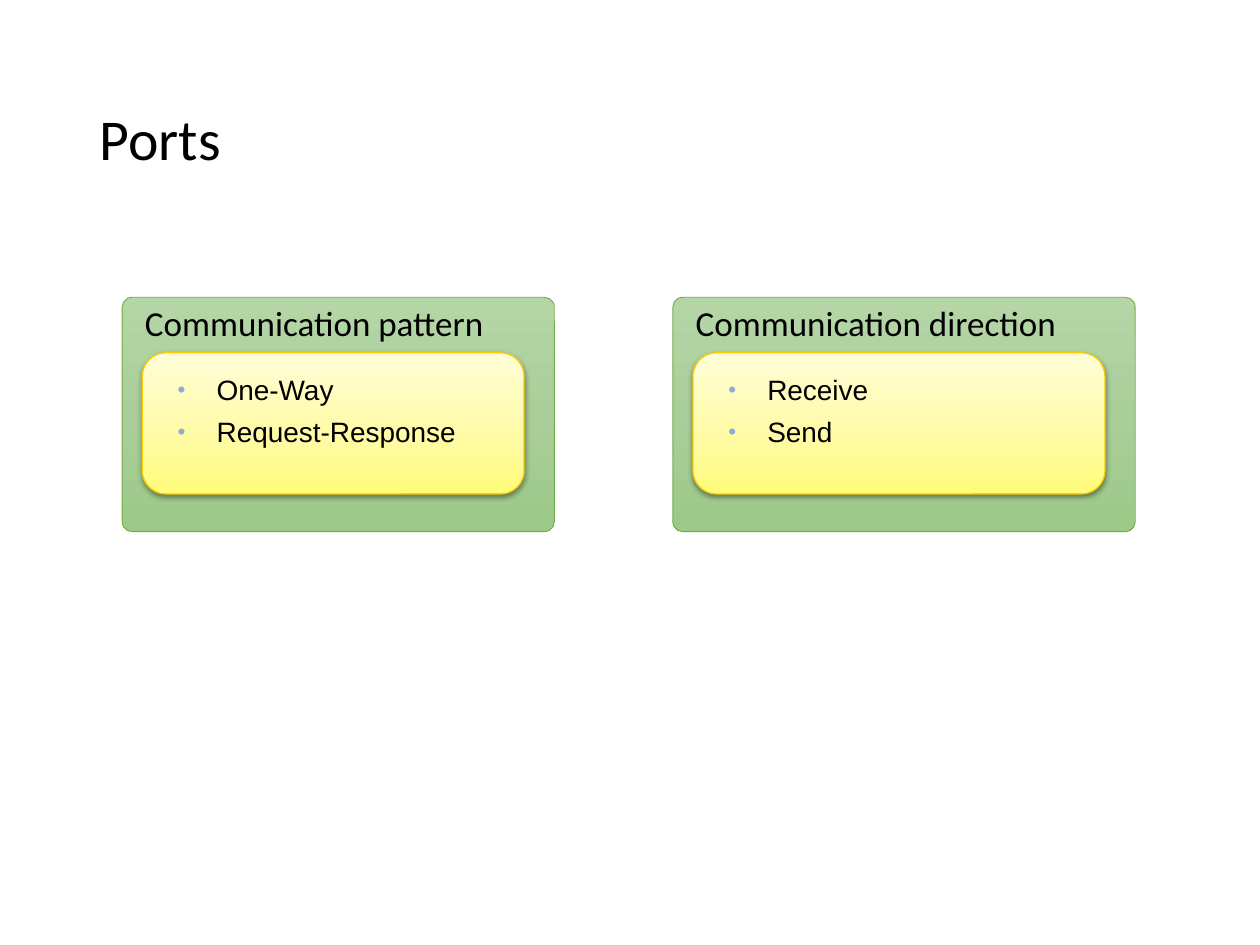
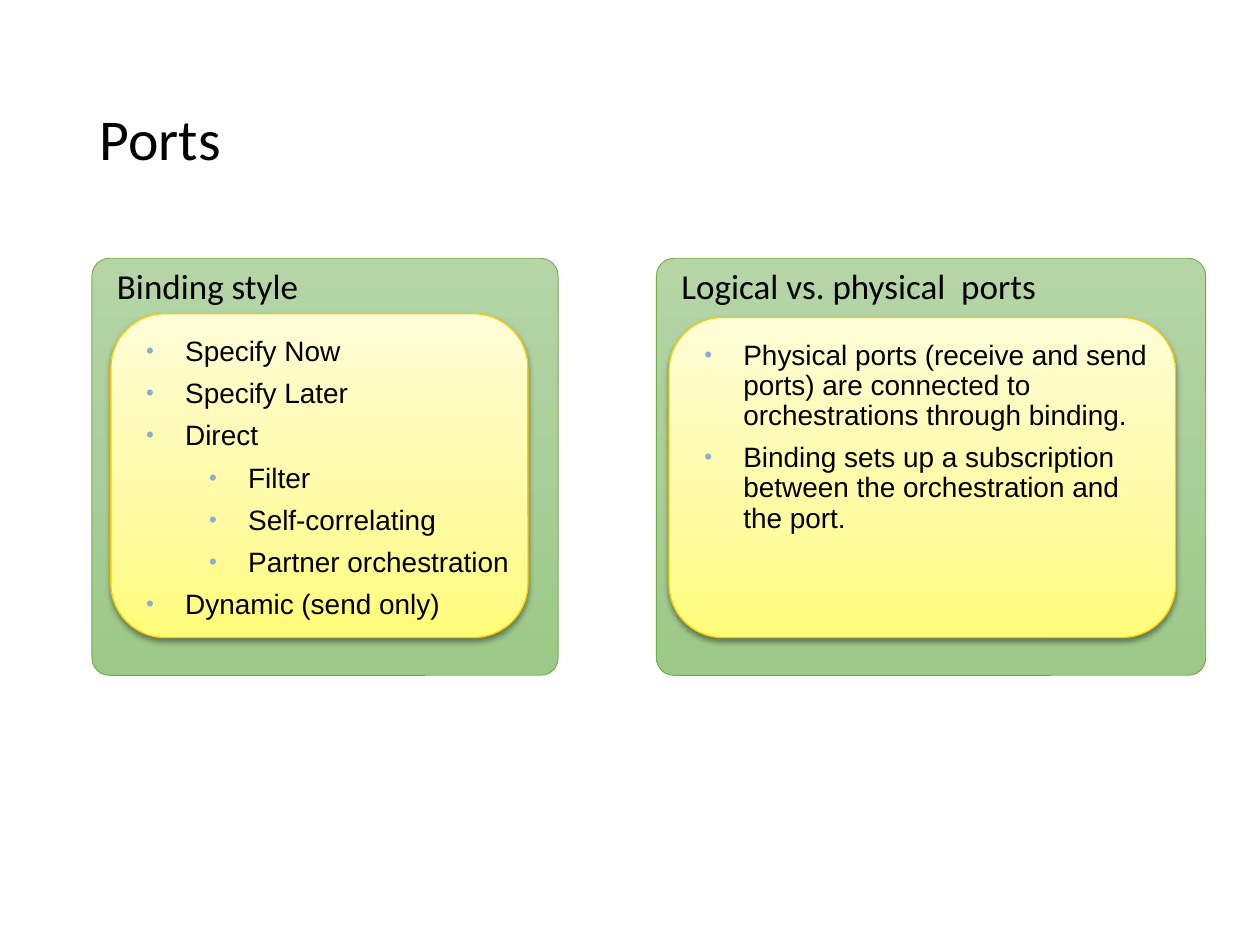
"""Builds two slides about ports, each with two panels that hold a bulleted card."""
from dataclasses import dataclass

from pptx import Presentation
from pptx import util as u
from pptx.dml.color import RGBColor
from pptx.enum import shapes, text
from pptx.oxml import parse_xml
from pptx.oxml.ns import nsdecls, qn

COLUMNS, ROWS = 100, 75
SLIDE_WIDTH, SLIDE_HEIGHT = u.Inches(10), u.Inches(7.5)
HEADING_FONT, BODY_FONT = "Calibri", "Arial"
BLACK, BULLET = "000000", "8DACD0"
CARD_RIGHT, CARD_BOTTOM = 2.4, 3
LIST_LEFT, LIST_TOP = 1.8, 1.35
BULLET_INDENT, LEVEL_STEP = 0.31, 0.5
SPACE_SHARE = 0.43


@dataclass(frozen=True)
class Box:
    left: float
    top: float
    width: float
    height: float

    def lengths(self) -> tuple[int, int, int, int]:
        column, row = SLIDE_WIDTH / COLUMNS, SLIDE_HEIGHT / ROWS
        return (round(self.left * column), round(self.top * row),
                round(self.width * column), round(self.height * row))


@dataclass(frozen=True)
class Look:
    stops: tuple[tuple[int, str], ...]
    angle: int
    line: str
    line_width: float
    corner: float
    shadow: bool


@dataclass(frozen=True)
class Panel:
    heading: str
    box: Box
    card_left: float
    card_top: float
    list_width: float
    list_height: float
    items: tuple[tuple[int, str], ...]


TITLE_BOX = Box(6.9, 4, 86.2, 14.5)
PANEL_LOOK = Look(((0, "B5D5A7"), (50, "AACE9A"), (100, "9CC987")), 90,
                  "70AD47", 0.5, 0.042, False)
CARD_LOOK = Look(((0, "FFFC78"), (35, "FFFBA1"), (100, "FFFDD7")), 270,
                 "FFCB00", 0.75, 0.167, True)

SLIDES = (
    ("Ports", (
        Panel("Communication pattern", Box(9.7, 23.6, 34.3, 18.6), 1.6, 4.4, 30.1, 6.9,
              ((0, "One-Way"), (0, "Request-Response"))),
        Panel("Communication direction", Box(53.4, 23.6, 36.7, 18.6), 1.6, 4.4, 27.8, 6.9,
              ((0, "Receive"), (0, "Send"))),
    )),
    ("Ports", (
        Panel("Binding style", Box(7.3, 20.5, 37, 33.1), 1.5, 4.4, 31.3, 24.4,
              ((0, "Specify Now"), (0, "Specify Later"), (0, "Direct"),
               (1, "Filter"), (1, "Self-correlating"), (1, "Partner orchestration"),
               (0, "Dynamic (send only)"))),
        Panel("Logical vs. physical  ports", Box(52.1, 20.5, 43.6, 33.1), 1, 4.7, 38.4, 16.6,
              ((0, "Physical ports (receive and send ports) are connected to "
                   "orchestrations through binding."),
               (0, "Binding sets up a subscription between the orchestration and the port."))),
    )),
)


def color(value: str) -> RGBColor:
    """Turn a hex string into a colour."""
    return RGBColor.from_string(value)


def write(paragraph, words: str, *, size: float, font: str, indent: float = 0,
          hanging: float = 0, level: int = 0, spaced: bool = True, bullet: bool = False) -> None:
    """Fill a paragraph with formatted text."""
    run = paragraph.add_run()
    run.text = words
    run.font.size, run.font.name = u.Pt(size), font
    run.font.color.rgb = color(BLACK)
    paragraph.alignment = text.PP_ALIGN.LEFT
    paragraph.level = level
    paragraph.line_spacing = 0.9
    paragraph.space_before = u.Pt(size * SPACE_SHARE if spaced else 0)
    properties = paragraph._p.get_or_add_pPr()
    properties.set("marL", str(u.Inches(indent)))
    properties.set("indent", str(u.Inches(-hanging)))
    if bullet:
        for markup in (f'<a:buClr {nsdecls("a")}><a:srgbClr val="{BULLET}"/></a:buClr>',
                       f'<a:buSzPct {nsdecls("a")} val="80000"/>',
                       f'<a:buFont {nsdecls("a")} typeface="{BODY_FONT}"/>',
                       f'<a:buChar {nsdecls("a")} char="•"/>'):
            properties.append(parse_xml(markup))


def place(shape, box: Box) -> None:
    """Move and size a shape to a grid box."""
    shape.left, shape.top, shape.width, shape.height = box.lengths()


def add_rounded(slide, box: Box, look: Look):
    """Add a rounded rectangle with a gradient, an outline and an optional shadow."""
    shape = slide.shapes.add_shape(shapes.MSO_SHAPE.ROUNDED_RECTANGLE, *box.lengths())
    shape.adjustments[0] = look.corner
    shape.line.color.rgb = color(look.line)
    shape.line.width = u.Pt(look.line_width)
    shape.shadow.inherit = False
    shape.fill.gradient()
    properties = shape.element.spPr
    stops = "".join(f'<a:gs pos="{position * 1000}"><a:srgbClr val="{value}"/></a:gs>'
                    for position, value in look.stops)
    properties.replace(properties.find(qn("a:gradFill")), parse_xml(
        f'<a:gradFill {nsdecls("a")} rotWithShape="1"><a:gsLst>{stops}</a:gsLst>'
        f'<a:lin ang="{look.angle * 60000}" scaled="0"/></a:gradFill>'))
    if look.shadow:
        properties.find(qn("a:effectLst")).append(parse_xml(
            f'<a:outerShdw {nsdecls("a")} blurRad="{u.Pt(3.1)}" dist="{u.Pt(1.6)}" '
            f'dir="5400000" rotWithShape="0"><a:srgbClr val="{BLACK}">'
            '<a:alpha val="38000"/></a:srgbClr></a:outerShdw>'))
    return shape


def draw_panel(slide, panel: Panel, body) -> None:
    """Draw a headed panel, its card and the list on the card."""
    box = panel.box
    frame = add_rounded(slide, box, PANEL_LOOK).text_frame
    frame.word_wrap = True
    frame.vertical_anchor = text.MSO_ANCHOR.TOP
    write(frame.paragraphs[0], panel.heading, size=20, font=HEADING_FONT, indent=0.06)

    card = Box(box.left + panel.card_left, box.top + panel.card_top,
               box.width - panel.card_left - CARD_RIGHT,
               box.height - panel.card_top - CARD_BOTTOM)
    add_rounded(slide, card, CARD_LOOK)

    place(body, Box(card.left + LIST_LEFT, card.top + LIST_TOP,
                    panel.list_width, panel.list_height))
    body.element.getparent().append(body.element)
    body.text_frame.word_wrap = True
    body.text_frame.auto_size = text.MSO_AUTO_SIZE.SHAPE_TO_FIT_TEXT
    for index, (level, words) in enumerate(panel.items):
        paragraph = (body.text_frame.add_paragraph() if index
                     else body.text_frame.paragraphs[0])
        write(paragraph, words, size=16, font=BODY_FONT, level=level, bullet=True,
              indent=BULLET_INDENT + LEVEL_STEP * level, hanging=BULLET_INDENT)


def draw_slide(presentation, heading: str, panels: tuple[Panel, ...]) -> None:
    """Add a slide with a title and its panels."""
    slide = presentation.slides.add_slide(presentation.slide_layouts.get_by_name("Two Content"))
    title, *bodies = slide.placeholders
    place(title, TITLE_BOX)
    title.text_frame.auto_size = text.MSO_AUTO_SIZE.NONE
    title.text_frame.vertical_anchor = text.MSO_ANCHOR.MIDDLE
    write(title.text_frame.paragraphs[0], heading, size=33, font=HEADING_FONT, spaced=False)
    for panel, body in zip(panels, bodies):
        draw_panel(slide, panel, body)


def main() -> None:
    """Build and save the presentation."""
    presentation = Presentation()
    presentation.slide_width, presentation.slide_height = SLIDE_WIDTH, SLIDE_HEIGHT
    for heading, panels in SLIDES:
        draw_slide(presentation, heading, panels)
    presentation.save("out.pptx")


main()
